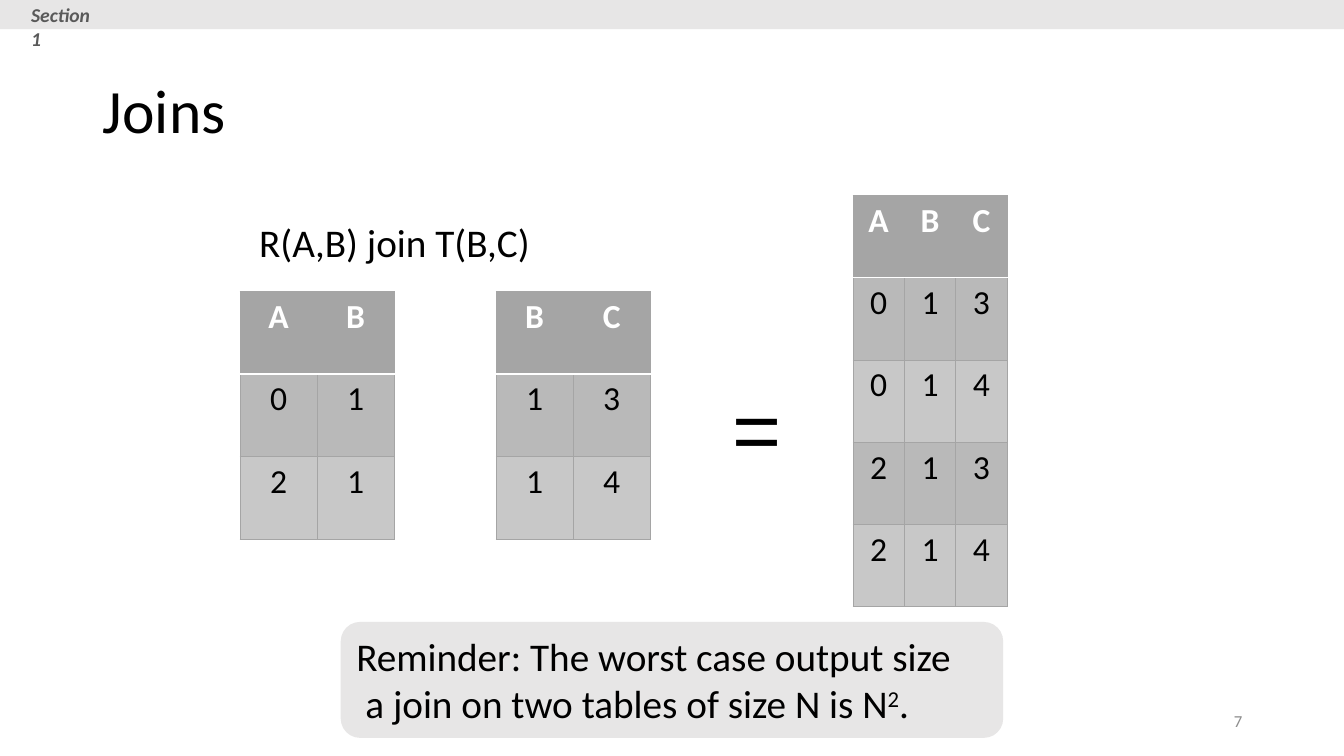
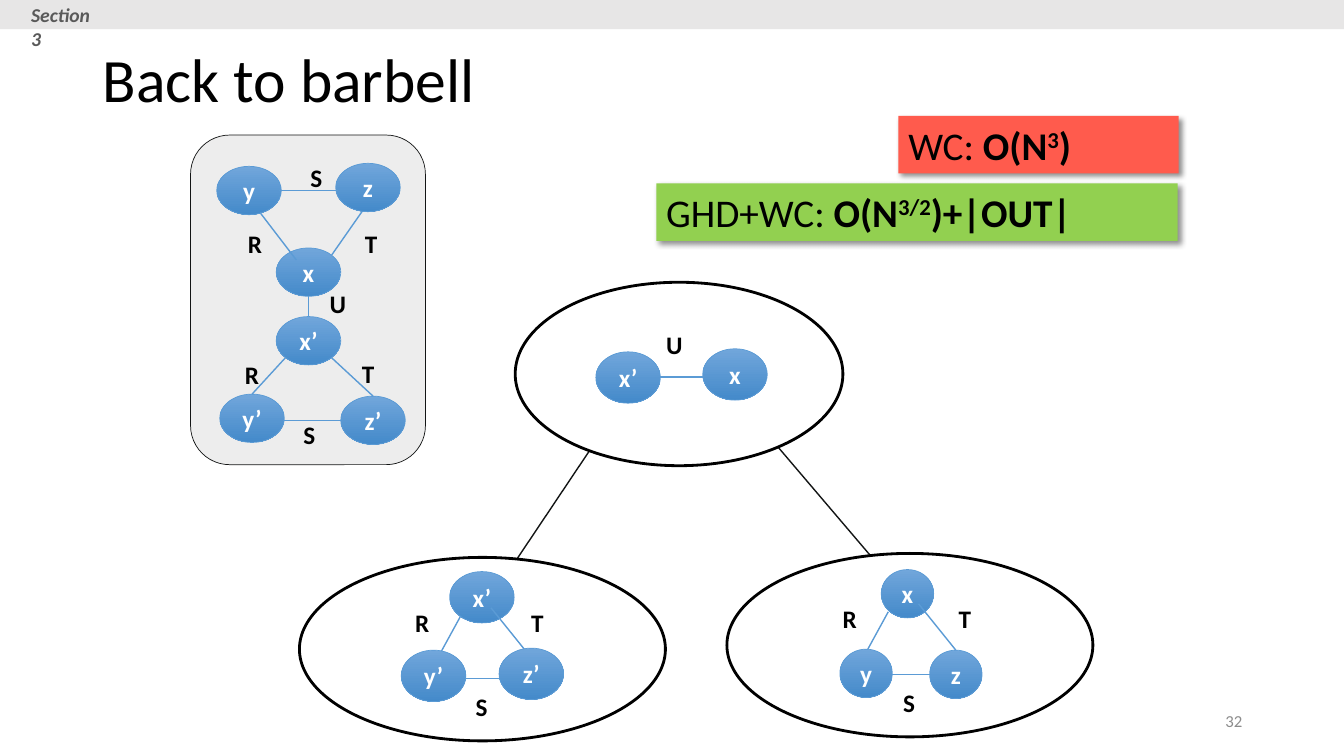
"""Build two slides on joins and the barbell query."""
from dataclasses import dataclass

from lxml import etree
from pptx import Presentation
from pptx.dml.color import RGBColor
from pptx.enum.shapes import MSO_CONNECTOR as Link, MSO_SHAPE as Shape
from pptx.enum.text import MSO_ANCHOR as Anchor, PP_ALIGN as Align
from pptx.oxml import parse_xml
from pptx.oxml.ns import nsdecls, qn
from pptx.util import Inches, Pt


@dataclass(frozen=True)
class Theme:
    font: str = "Calibri"
    symbol_font: str = "Arial"
    ink: str = "000000"
    paper: str = "FFFFFF"
    band: str = "E7E6E6"
    section: str = "595959"
    number: str = "8C8C8C"
    header: str = "A5A5A5"
    row_odd: str = "B9B9B9"
    row_even: str = "C8C8C8"
    panel: str = "EDEDED"
    tree: str = "131515"
    edge: str = "5B9BD5"
    node_top: str = "71A6DB"
    node_bottom: str = "448ACA"
    slow: str = "FF5B4D"
    fast: str = "92D050"
    title_size: int = 44
    body_size: int = 28
    cell_size: int = 24
    label_size: int = 18
    section_size: int = 14
    number_size: int = 12
    equals_size: int = 60


THEME = Theme()
TITLE_ONLY, TITLE_AND_BODY = 5, 1

JOIN_TABLES = [
    ((2.38, 2.89, 1.53, 2.46), ["AB", "01", "21"]),
    ((4.92, 2.89, 1.53, 2.46), ["BC", "13", "14"]),
    ((8.46, 1.94, 1.53, 4.08), ["ABC", "013", "014", "213", "214"]),
]
JOIN_QUERY = [["R(A,B) join T(B,C)"]]
REMINDER = [
    ["Reminder: The worst case output size"],
    ["a join on two tables of size N is N", ("2", "super"), "."],
]
COSTS = [
    ((8.91, 1.15, 2.78, 0.57), THEME.slow,
     ["WC: ", ("O(N", "bold"), ("3", "bold super"), (")", "bold")]),
    ((6.51, 1.82, 5.17, 0.57), THEME.fast,
     ["GHD+WC: ", ("O(N", "bold"), ("3/2", "bold super"), (")+|OUT|", "bold")]),
]

BARBELL_PANEL = (1.89, 1.34, 2.33, 3.27)
BARBELL_NODE = (0.64, 0.48)
BARBELL_NODES = [
    ("y", 2.15, 1.65), ("z", 3.33, 1.62), ("x", 2.74, 2.46),
    ("x’", 2.74, 3.14), ("y’", 2.18, 3.91), ("z’", 3.38, 3.93),
]
BARBELL_EDGES = [
    (2.77, 1.89, 3.35, 1.89), (2.94, 2.58, 2.58, 2.11), (3.59, 2.1, 3.29, 2.53),
    (3.06, 3.14, 3.06, 2.94),
    (2.5, 3.91, 2.83, 3.55), (3.29, 3.55, 3.7, 3.93), (2.81, 4.17, 3.38, 4.17),
]
BARBELL_LABELS = [
    ("S", 2.98, 1.56), ("R", 2.36, 2.22), ("T", 3.52, 2.22), ("U", 3.17, 2.81),
    ("R", 2.33, 3.52), ("T", 3.49, 3.51), ("S", 2.91, 4.11),
]

TREE_LINKS = [(8.81, 5.72, 7.21, 3.84), (4.87, 5.93, 6.27, 3.84)]
ROOT_BAG = (5.11, 2.8, 3.25, 1.82)
ROOT_NODES = [("x", 6.97, 3.46), ("x’", 5.91, 3.49)]
ROOT_EDGES = [(6.27, 3.74, 7.06, 3.74)]
ROOT_LABELS = [("U", 6.51, 3.22)]
LARGE_NODE, SMALL_NODE = (0.64, 0.51), (0.52, 0.48)

BAG_SIZE = (3.63, 1.82)
BAG_EDGES = [(1.37, 1, 1.6, 0.58), (1.64, 1.2, 2.01, 1.2), (1.9, 0.5, 2.27, 0.96)]
BAG_LABELS = [("T", 2.2, 0.45), ("S", 1.65, 1.28), ("R", 1.05, 0.45)]
LEAF_BAGS = [
    ((7.21, 5.49), SMALL_NODE, [("x", 8.74, 5.65), ("y", 8.33, 6.44), ("z", 9.22, 6.45)]),
    ((2.97, 5.53), LARGE_NODE, [("x’", 4.46, 5.67), ("y’", 3.98, 6.45), ("z’", 4.95, 6.43)]),
]


def rgb(color):
    return RGBColor.from_string(color)


def inches(values):
    return [Inches(value) for value in values]


def write(frame, paragraphs, size, color=THEME.ink, font=THEME.font, align=Align.LEFT,
          anchor=Anchor.TOP, bold=False, italic=False, indents=(), spacing=None):
    frame.word_wrap = True
    frame.vertical_anchor = anchor
    for index, runs in enumerate(paragraphs):
        paragraph = frame.paragraphs[0] if index == 0 else frame.add_paragraph()
        paragraph.alignment = align
        paragraph.space_before = Pt(0)
        if spacing:
            paragraph.line_spacing = spacing
        if index < len(indents):
            properties = paragraph._p.get_or_add_pPr()
            properties.set("marL", str(Inches(indents[index])))
            properties.set("indent", "0")
            etree.SubElement(properties, qn("a:buNone"))
        for part in runs:
            text, style = (part, "") if isinstance(part, str) else part
            run = paragraph.add_run()
            run.text = text
            run.font.name, run.font.size = font, Pt(size)
            run.font.color.rgb = rgb(color)
            run.font.bold = bold or "bold" in style
            run.font.italic = italic
            if "super" in style:
                run._r.get_or_add_rPr().set("baseline", "30000")


def add_text(slide, box, text, size, **style):
    write(slide.shapes.add_textbox(*inches(box)).text_frame, [[text]], size, **style)


def fill_placeholder(placeholder, box, paragraphs, size, **style):
    placeholder.left, placeholder.top, placeholder.width, placeholder.height = inches(box)
    write(placeholder.text_frame, paragraphs, size, spacing=0.9, **style)


def add_block(slide, kind, box, fill, line=None, width=1):
    block = slide.shapes.add_shape(kind, *inches(box))
    block.shadow.inherit = False
    block.fill.solid()
    block.fill.fore_color.rgb = rgb(fill)
    if line:
        block.line.color.rgb = rgb(line)
        block.line.width = Pt(width)
    else:
        block.line.fill.background()
    return block


def add_line(slide, ends, color):
    line = slide.shapes.add_connector(Link.STRAIGHT, *inches(ends))
    line.line.color.rgb = rgb(color)
    line.line.width = Pt(1)
    etree.SubElement(line._element.spPr, qn("a:effectLst"))


def start_slide(deck, layout, title, title_box, section, number):
    slide = deck.slides.add_slide(deck.slide_layouts[layout])
    fill_placeholder(slide.shapes.title, title_box, [[title]], THEME.title_size,
                     anchor=Anchor.MIDDLE)
    add_block(slide, Shape.RECTANGLE, (0, 0, 13.33, 0.29), THEME.band)
    add_text(slide, (0.21, -0.02, 0.92, 0.34), section, THEME.section_size,
             color=THEME.section, bold=True, italic=True)
    add_text(slide, (9.42, 6.95, 3, 0.4), number, THEME.number_size,
             color=THEME.number, align=Align.RIGHT, anchor=Anchor.MIDDLE)
    return slide


def set_border(cell, sides):
    properties = cell._tc.get_or_add_tcPr()
    for index, (side, (color, width)) in enumerate(sides.items()):
        properties.insert(index, parse_xml(
            f'<a:ln{side} {nsdecls("a")} w="{Pt(width)}"><a:solidFill>'
            f'<a:srgbClr val="{color}"/></a:solidFill></a:ln{side}>'))


def add_relation(slide, box, rows):
    table = slide.shapes.add_table(len(rows), len(rows[0]), *inches(box)).table
    table.first_row = table.horz_banding = False
    grid, rule = (THEME.header, 0.5), (THEME.paper, 1)
    for r, values in enumerate(rows):
        is_header = r == 0
        fill = THEME.header if is_header else (THEME.row_even, THEME.row_odd)[r % 2]
        for c, value in enumerate(values):
            cell = table.cell(r, c)
            cell.fill.solid()
            cell.fill.fore_color.rgb = rgb(fill)
            set_border(cell, {"L": grid, "R": grid, "T": rule if r == 1 else grid,
                              "B": rule if is_header else grid})
            write(cell.text_frame, [[value]], THEME.cell_size, align=Align.CENTER,
                  color=THEME.paper if is_header else THEME.ink, bold=is_header)


def add_nodes(slide, nodes, size):
    for name, left, top in nodes:
        node = add_block(slide, Shape.OVAL, (left, top, *size), THEME.edge, THEME.edge, 0.5)
        node.fill.gradient()
        node.fill.gradient_angle = 270
        for stop, color in zip(node.fill.gradient_stops, (THEME.node_top, THEME.node_bottom)):
            stop.color.rgb = rgb(color)
        frame = node.text_frame
        frame.margin_left = frame.margin_right = 0
        write(frame, [[name]], THEME.label_size, color=THEME.paper, bold=True,
              align=Align.CENTER, anchor=Anchor.MIDDLE)


def add_edges(slide, edges, labels, origin=(0, 0)):
    dx, dy = origin
    for x1, y1, x2, y2 in edges:
        add_line(slide, (x1 + dx, y1 + dy, x2 + dx, y2 + dy), THEME.edge)
    for name, left, top in labels:
        add_text(slide, (left + dx, top + dy, 0.4, 0.4), name, THEME.label_size, bold=True)


def add_bag(slide, box):
    add_block(slide, Shape.OVAL, box, THEME.paper, THEME.ink, 2)


def add_cost(slide, box, fill, runs):
    cost = add_block(slide, Shape.RECTANGLE, box, fill)
    effects = cost._element.spPr.find(qn("a:effectLst"))
    effects.append(parse_xml(
        f'<a:outerShdw {nsdecls("a")} blurRad="{Pt(4)}" dist="{Pt(3)}" dir="2700000" '
        f'algn="tl" rotWithShape="0"><a:srgbClr val="{THEME.ink}">'
        '<a:alpha val="43000"/></a:srgbClr></a:outerShdw>'))
    write(cost.text_frame, [runs], THEME.body_size)


def build_joins(deck):
    slide = start_slide(deck, TITLE_AND_BODY, "Joins", (0.92, 0.4, 11.5, 1.45),
                        "Section 1", "7")
    fill_placeholder(slide.placeholders[1], (2.38, 2.17, 4.78, 0.72), JOIN_QUERY,
                     THEME.body_size, indents=[0.09])
    for box, rows in JOIN_TABLES:
        add_relation(slide, box, rows)
    add_text(slide, (6.94, 3.69, 1.1, 0.72), "=", THEME.equals_size,
             font=THEME.symbol_font, indents=[0.23])
    reminder = add_block(slide, Shape.ROUNDED_RECTANGLE, (3.38, 6.17, 6.57, 1.15), THEME.band)
    write(reminder.text_frame, REMINDER, THEME.body_size, indents=[0, 0.09])


def build_barbell(deck):
    slide = start_slide(deck, TITLE_ONLY, "Back to barbell", (0.92, 0.09, 12.08, 1.45),
                        "Section 3", "32")
    for ends in TREE_LINKS:
        add_line(slide, ends, THEME.tree)
    add_bag(slide, ROOT_BAG)
    add_edges(slide, ROOT_EDGES, ROOT_LABELS)
    add_nodes(slide, ROOT_NODES, LARGE_NODE)
    for origin, node_size, (apex, *base) in LEAF_BAGS:
        add_bag(slide, (*origin, *BAG_SIZE))
        add_nodes(slide, [apex], node_size)
        add_edges(slide, BAG_EDGES, BAG_LABELS, origin)
        add_nodes(slide, base, node_size)
    add_block(slide, Shape.ROUNDED_RECTANGLE, BARBELL_PANEL, THEME.panel, THEME.tree, 0.5)
    add_nodes(slide, BARBELL_NODES, BARBELL_NODE)
    add_edges(slide, BARBELL_EDGES, BARBELL_LABELS)
    for box, fill, runs in COSTS:
        add_cost(slide, box, fill, runs)


def main():
    deck = Presentation()
    deck.slide_width, deck.slide_height = inches((13.33, 7.5))
    build_joins(deck)
    build_barbell(deck)
    deck.save("out.pptx")


if __name__ == "__main__":
    main()
